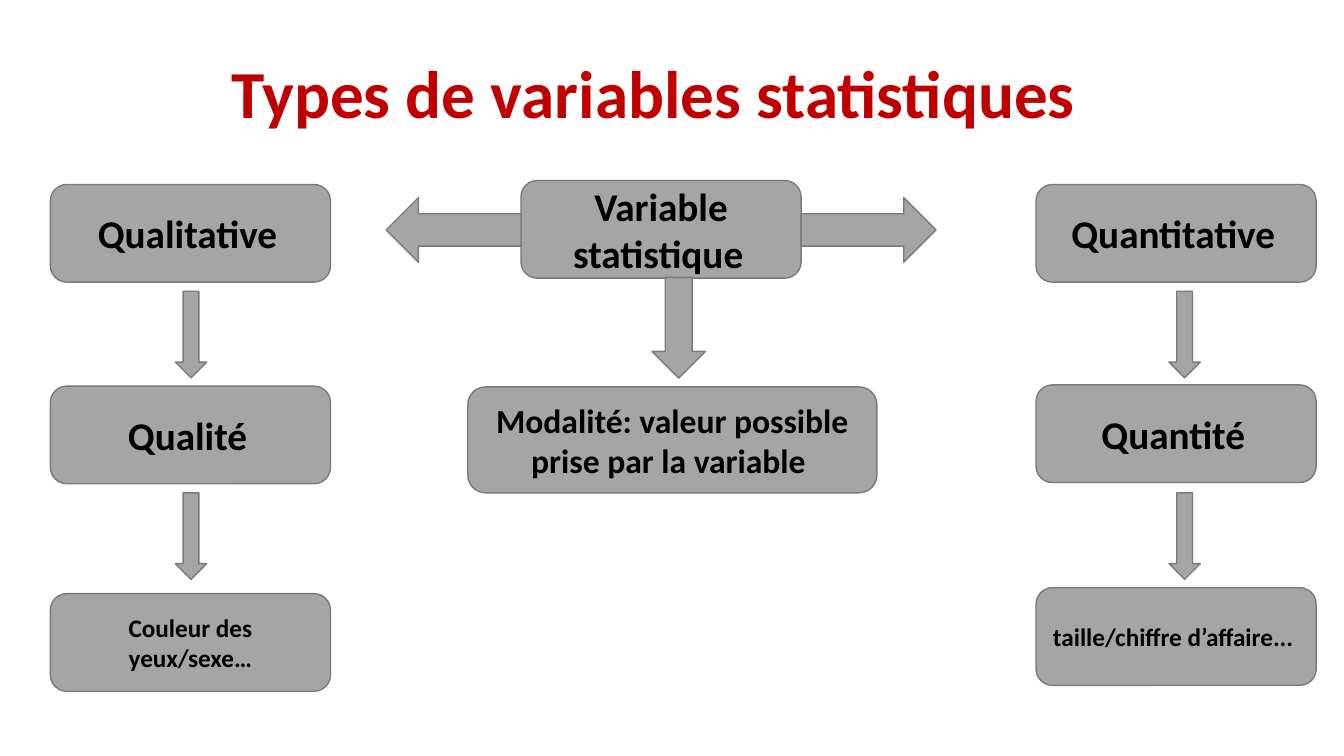
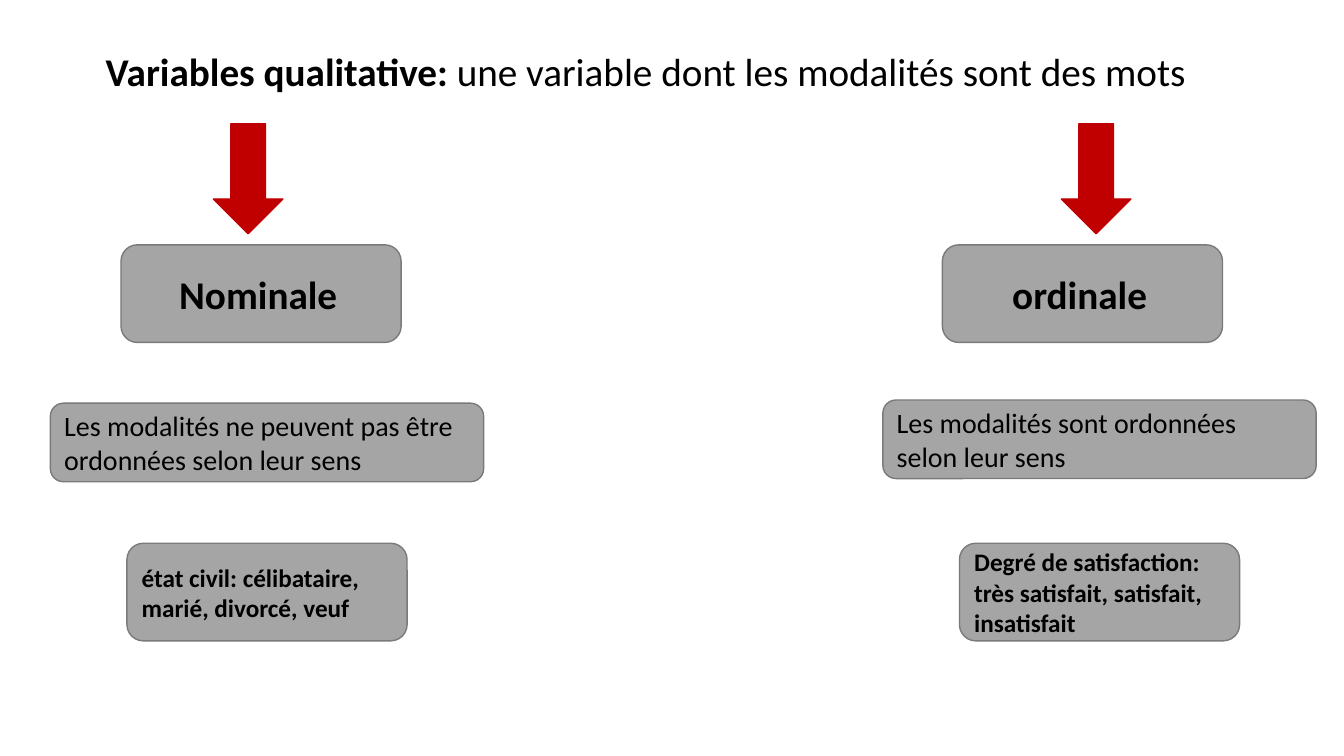
from dataclasses import dataclass
from typing import NamedTuple

from pptx import Presentation
from pptx import util as u
from pptx.dml import color
from pptx.enum import shapes, text


@dataclass(frozen=True)
class Theme:
    font: str = "Calibri"
    ink: str = "000000"
    accent: str = "C00000"
    panel: str = "A5A5A5"
    border: str = "7A7A7A"
    title: int = 48
    heading: int = 28
    statement: int = 24
    detail: int = 20
    example: int = 18
    line: float = 1


THEME = Theme()
KIND = shapes.MSO_SHAPE
CENTER = text.PP_ALIGN.CENTER
LEFT = text.PP_ALIGN.LEFT


class Area(NamedTuple):
    """Left, top, width and height in centimetres."""
    left: float
    top: float
    width: float
    height: float


class Span(NamedTuple):
    words: str
    size: int
    bold: bool = True
    ink: str = THEME.ink


@dataclass(frozen=True)
class Box:
    area: Area
    spans: tuple[Span, ...]
    align: text.PP_ALIGN = CENTER
    filled: bool = True


@dataclass(frozen=True)
class Arrow:
    area: Area
    kind: shapes.MSO_SHAPE = KIND.DOWN_ARROW
    fill: str = THEME.panel
    border: str = THEME.border


# Shared sizes and positions
CARD = (7.06, 2.46)
DETAIL = (10.92, 1.98)
SMALL_ARROW = (0.79, 2.18)
SIDE_ARROW = (3.4, 1.63)
RED_ARROW = (1.75, 2.77)
TITLE = (31.9, 2.18)
LEFT_EDGE, RIGHT_EDGE = 1.27, 33.17
CARD_RIGHT = RIGHT_EDGE - CARD[0]
DETAIL_RIGHT = RIGHT_EDGE - DETAIL[0]


# Drawing functions
def add_shape(page, kind, area: Area, fill: str | None, border: str):
    shape = page.shapes.add_shape(kind, *(u.Cm(length) for length in area))
    shape.shadow.inherit = False
    if fill is None:
        shape.fill.background()
        shape.line.fill.background()
    else:
        shape.fill.solid()
        shape.fill.fore_color.rgb = color.RGBColor.from_string(fill)
        shape.line.color.rgb = color.RGBColor.from_string(border)
        shape.line.width = u.Pt(THEME.line)
    return shape


def add_arrow(page, arrow: Arrow) -> None:
    add_shape(page, arrow.kind, arrow.area, arrow.fill, arrow.border)


def add_box(page, box: Box) -> None:
    fill = THEME.panel if box.filled else None
    shape = add_shape(page, KIND.ROUNDED_RECTANGLE, box.area, fill, THEME.border)
    frame = shape.text_frame
    frame.word_wrap = True
    frame.vertical_anchor = text.MSO_ANCHOR.MIDDLE
    para = frame.paragraphs[0]
    para.alignment = box.align
    for span in box.spans:
        run = para.add_run()
        run.text = span.words
        formats = {"name": THEME.font, "size": u.Pt(span.size), "bold": span.bold}
        for name, value in formats.items():
            setattr(run.font, name, value)
        run.font.color.rgb = color.RGBColor.from_string(span.ink)


def add_page(deck, boxes: list[Box], arrows: list[Arrow]) -> None:
    page = deck.slides.add_slide(deck.slide_layouts[6])
    for box in boxes:
        add_box(page, box)
    for arrow in arrows:
        add_arrow(page, arrow)


def heading(left: float, top: float, words: str) -> Box:
    spans = (Span(words, THEME.heading), Span(" ", THEME.example, False))
    return Box(Area(left, top, *CARD), spans)


def example(left: float, top: float, words: str, align=CENTER) -> Box:
    return Box(Area(left, top, *CARD), (Span(words, THEME.example),), align)


def detail(left: float, top: float, words: str) -> Box:
    return Box(Area(left, top, *DETAIL), (Span(words, THEME.detail, False),), LEFT)


# Slide 1: types of variables
def add_types_page(deck) -> None:
    title = Span("Types de variables statistiques ", THEME.title, ink=THEME.accent)
    modality = Span("Modalité: valeur possible prise par la variable ", THEME.statement)
    boxes = [
        Box(Area(0.71, 1.22, *TITLE), (title,), filled=False),
        heading(LEFT_EDGE, 4.65, "Qualitative"),
        heading(CARD_RIGHT, 4.65, "Quantitative"),
        heading(LEFT_EDGE, 9.73, "Qualité"),
        heading(CARD_RIGHT, 9.7, "Quantité"),
        example(LEFT_EDGE, 14.96, "Couleur des yeux/sexe…"),
        example(CARD_RIGHT, 14.81, "taille/chiffre d’affaire... "),
        Box(Area(11.79, 9.75, 10.31, 2.67), (modality,)),
        heading(13.13, 4.55, "Variable statistique"),
    ]
    arrows = [Arrow(Area(left, top, *SMALL_ARROW))
              for left in (4.42, 29.46) for top in (7.34, 12.42)]
    arrows += [
        Arrow(Area(20.19, 4.98, *SIDE_ARROW), KIND.RIGHT_ARROW),
        Arrow(Area(9.73, 4.98, *SIDE_ARROW), KIND.LEFT_ARROW),
        Arrow(Area(16.43, 6.99, 1.35, 2.54)),
    ]
    add_page(deck, boxes, arrows)


# Slide 2: qualitative variables
def add_qualitative_page(deck) -> None:
    title = (
        Span("Variables qualitative: ", THEME.heading),
        Span("une variable dont les modalités sont des mots", THEME.heading, False),
    )
    boxes = [
        Box(Area(2.31, 0.69, *TITLE), title, LEFT, filled=False),
        heading(3.05, 6.17, "Nominale"),
        heading(23.75, 6.17, "ordinale"),
        detail(LEFT_EDGE, 10.16,
               "Les modalités ne peuvent pas être ordonnées selon leur sens"),
        detail(DETAIL_RIGHT, 10.08, "Les modalités sont ordonnées selon leur sens"),
        example(3.2, 13.69, "état civil: célibataire, marié, divorcé, veuf", LEFT),
        example(24.18, 13.69,
                "Degré de satisfaction: très satisfait, satisfait, insatisfait", LEFT),
    ]
    arrows = [Arrow(Area(left, 3.12, *RED_ARROW), fill=THEME.accent, border=THEME.accent)
              for left in (5.38, 26.75)]
    add_page(deck, boxes, arrows)


def main() -> None:
    deck = Presentation()
    deck.slide_width = u.Cm(33.87)
    deck.slide_height = u.Cm(19.05)
    add_types_page(deck)
    add_qualitative_page(deck)
    deck.save("out.pptx")


if __name__ == "__main__":
    main()
